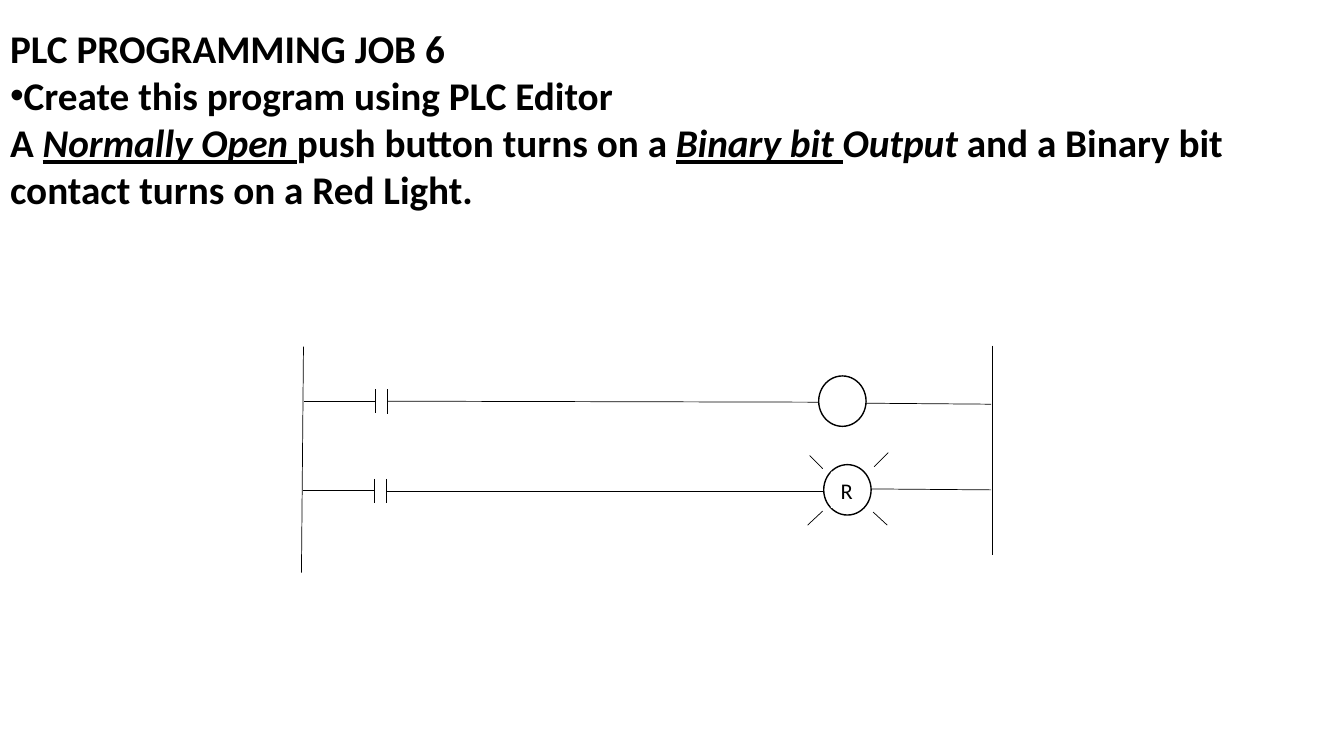
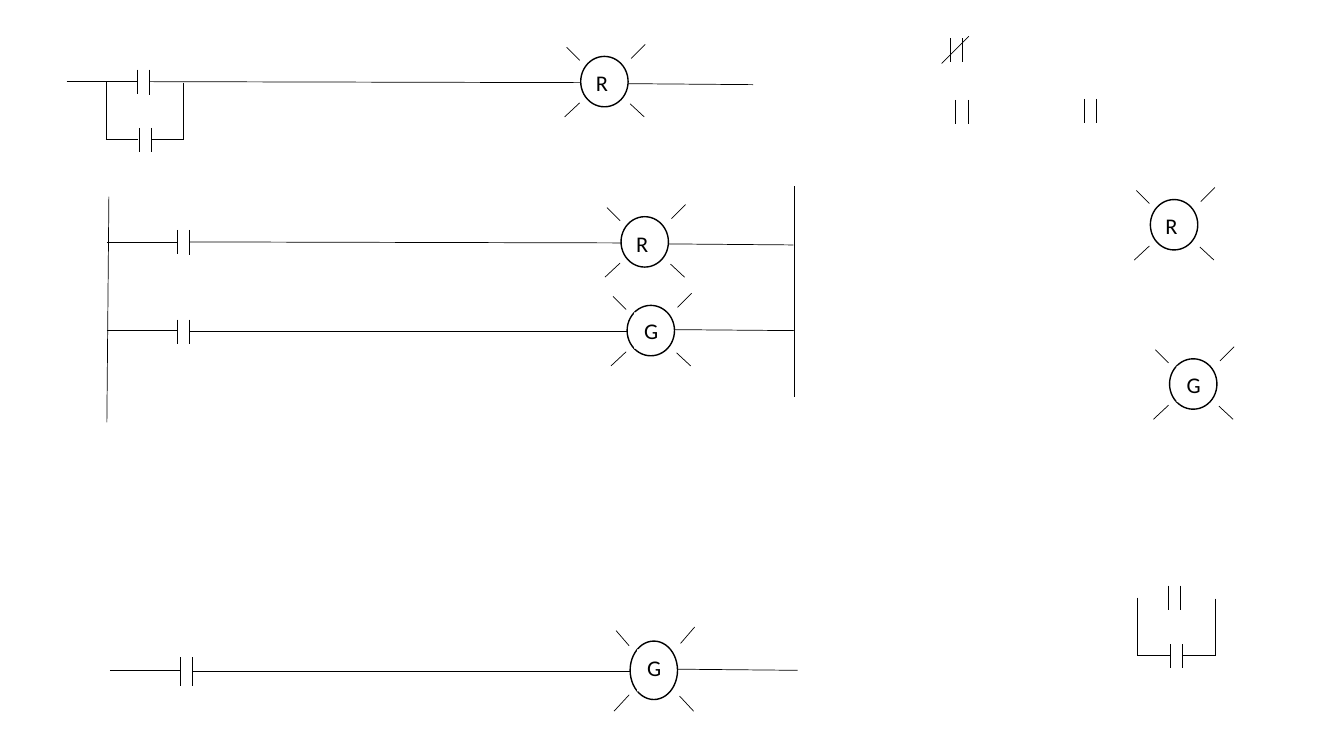
from dataclasses import dataclass

from lxml import etree
from pptx import Presentation
from pptx import util as u
from pptx.dml.color import RGBColor
from pptx.enum import shapes, text
from pptx.oxml.ns import qn


@dataclass(frozen=True)
class Theme:
    """Colours, font, type sizes and line widths shared by the slides."""
    ink: RGBColor = RGBColor(0, 0, 0)
    paper: RGBColor = RGBColor(255, 255, 255)
    font: str = "Calibri"
    heading: u.Pt = u.Pt(28)
    label: u.Pt = u.Pt(16)
    wire: u.Pt = u.Pt(0.5)
    outline: u.Pt = u.Pt(1)


T = Theme()
LAMP_W, LAMP_H = 0.47, 0.5

# Symbols: segments (x1, y1, x2, y2) in inches from the symbol's own origin.
CONTACT = [(x, 0, x, 0.24) for x in (0, 0.12)]
CLOSED_CONTACT = CONTACT + [(-0.09, 0.25, 0.18, -0.02)]
BRANCH = [(0, 0, 0, 0.57), (0.77, 0.01, 0.77, 0.58),
          (0.33, 0.46, 0.33, 0.7), (0.45, 0.46, 0.45, 0.7),
          (0, 0.57, 0.32, 0.57), (0.45, 0.57, 0.77, 0.57)]
RAYS = [(0.49, 0.47, 0.63, 0.6), (-0.14, -0.09, -0.01, 0.04),
        (-0.01, 0.46, -0.16, 0.6), (0.64, -0.12, 0.5, 0.02)]
# Rungs are measured from the top left of their lamp.
RUNG = {
    "slim": [(-5.1, 0.25, -4.39, 0.25), (-4.4, 0.13, -4.4, 0.37),
             (-4.28, 0.13, -4.28, 0.38), (-4.28, 0.25, 0, 0.26),
             (0.46, 0.27, 1.71, 0.28)],
    "wide": [(-5.16, 0.25, -4.45, 0.25), (-4.46, 0.14, -4.46, 0.38),
             (-4.34, 0.14, -4.34, 0.38), (-4.34, 0.26, 0, 0.26),
             (0.41, 0.24, 1.66, 0.25)],
}
# Label box in the lamp: left, top, width, height, left inset.
LABEL = {"slim": (0.12, 0.08, 0.14, 0.33, 0.03),
         "wide": (0.07, 0.07, 0.23, 0.36, 0.1)}


def draw(s, segments, x=0, y=0, stretch=1):
    """Draw thin lines from an origin, stretched in height."""
    for x1, y1, x2, y2 in segments:
        c = s.shapes.add_connector(
            shapes.MSO_CONNECTOR.STRAIGHT,
            u.Inches(x + x1), u.Inches(y + y1 * stretch),
            u.Inches(x + x2), u.Inches(y + y2 * stretch))
        c.line.color.rgb = T.ink
        c.line.width = T.wire
        etree.SubElement(c._element.spPr, qn("a:effectLst"))


def lamp(s, x, y, kind, letter="", h=LAMP_H):
    """Draw an output circle; a letter makes it a shining lamp."""
    sp = s.shapes.add_shape(shapes.MSO_SHAPE.OVAL, u.Inches(x), u.Inches(y),
                            u.Inches(LAMP_W), u.Inches(h))
    sp.shadow.inherit = False
    sp.fill.solid()
    sp.fill.fore_color.rgb = T.paper
    sp.line.color.rgb = T.ink
    sp.line.width = T.outline
    if not letter:
        return
    stretch = h / LAMP_H
    left, top, width, height, inset = LABEL[kind]
    box = s.shapes.add_shape(
        shapes.MSO_SHAPE.RECTANGLE, u.Inches(x + left),
        u.Inches(y + top * stretch), u.Inches(width),
        u.Inches(height * stretch))
    box.shadow.inherit = False
    box.fill.solid()
    box.fill.fore_color.rgb = T.paper
    box.line.fill.background()
    tf = box.text_frame
    tf.word_wrap = False
    tf.vertical_anchor = text.MSO_ANCHOR.TOP
    tf.margin_left, tf.margin_right = u.Inches(inset), 0
    p = tf.paragraphs[0]
    p.alignment = text.PP_ALIGN.LEFT
    r = p.add_run()
    r.text = letter
    r.font.name, r.font.size = T.font, T.label
    r.font.color.rgb = T.ink
    draw(s, RAYS, x, y, stretch)


prs = Presentation()
prs.slide_width, prs.slide_height = u.Inches(13.33), u.Inches(7.5)

# Slide 1: the job and its ladder
s = prs.slides.add_slide(prs.slide_layouts[1])
title, body = s.placeholders
job = [
    (title, 0.19, 0.47, [("", [("PLC PROGRAMMING JOB 6", False, False)])]),
    (body, 0.66, 1.99, [
        ("•", [("Create this program using PLC Editor", False, False)]),
        ("", [("A ", False, False),
              ("Normally Open ", True, True),
              ("push button turns on a ", False, False),
              ("Binary bit ", True, True),
              ("Output ", True, False),
              ("and a Binary bit contact turns on a Red Light. ",
               False, False)]),
    ]),
]
for holder, top, height, paragraphs in job:
    holder.left, holder.top = 0, u.Inches(top)
    holder.width, holder.height = prs.slide_width, u.Inches(height)
    tf = holder.text_frame
    tf.word_wrap = True
    tf.auto_size = text.MSO_AUTO_SIZE.NONE
    tf.vertical_anchor = text.MSO_ANCHOR.TOP
    for i, (bullet, runs) in enumerate(paragraphs):
        p = tf.add_paragraph() if i else tf.paragraphs[0]
        p.alignment = text.PP_ALIGN.LEFT
        p.space_before = p.space_after = u.Pt(0)
        pPr = p._p.get_or_add_pPr()
        pPr.set("marL", "0")
        pPr.set("indent", "0")
        if bullet:
            etree.SubElement(pPr, qn("a:buChar")).set("char", bullet)
        else:
            etree.SubElement(pPr, qn("a:buNone"))
        for words, italic, underline in runs:
            r = p.add_run()
            r.text = words
            r.font.name, r.font.size = T.font, T.heading
            r.font.color.rgb = T.ink
            r.font.bold = True
            r.font.italic, r.font.underline = italic, underline

draw(s, [(3.01, 3.44, 2.99, 5.68), (9.84, 3.43, 9.84, 5.51)])
for x, y, kind, letter in [(8.12, 3.73, "slim", ""),
                           (8.17, 4.61, "wide", "R")]:
    draw(s, RUNG[kind], x, y)
    lamp(s, x, y, kind, letter)

# Slide 2: spare rungs and symbols
s = prs.slides.add_slide(prs.slide_layouts[6])
draw(s, [(1.08, 1.95, 1.06, 4.19), (7.88, 1.85, 7.88, 3.94)])
for x, y, kind, letter, h in [(6.16, 2.15, "slim", "R", LAMP_H),
                              (6.22, 3.03, "wide", "G", LAMP_H),
                              (5.76, 0.56, "slim", "R", LAMP_H),
                              (6.25, 6.36, "wide", "G", 0.58)]:
    draw(s, RUNG[kind], x, y, h / LAMP_H)
    lamp(s, x, y, kind, letter, h)

lamp(s, 11.41, 1.98, "slim", "R")
lamp(s, 11.6, 3.56, "wide", "G")
for symbol, x, y in [(BRANCH, 1.05, 0.81), (BRANCH, 11.28, 5.93),
                     (CONTACT, 11.59, 5.81), (CONTACT, 10.75, 0.98),
                     (CONTACT, 9.48, 0.99), (CLOSED_CONTACT, 9.43, 0.38)]:
    draw(s, symbol, x, y)

prs.save("out.pptx")
